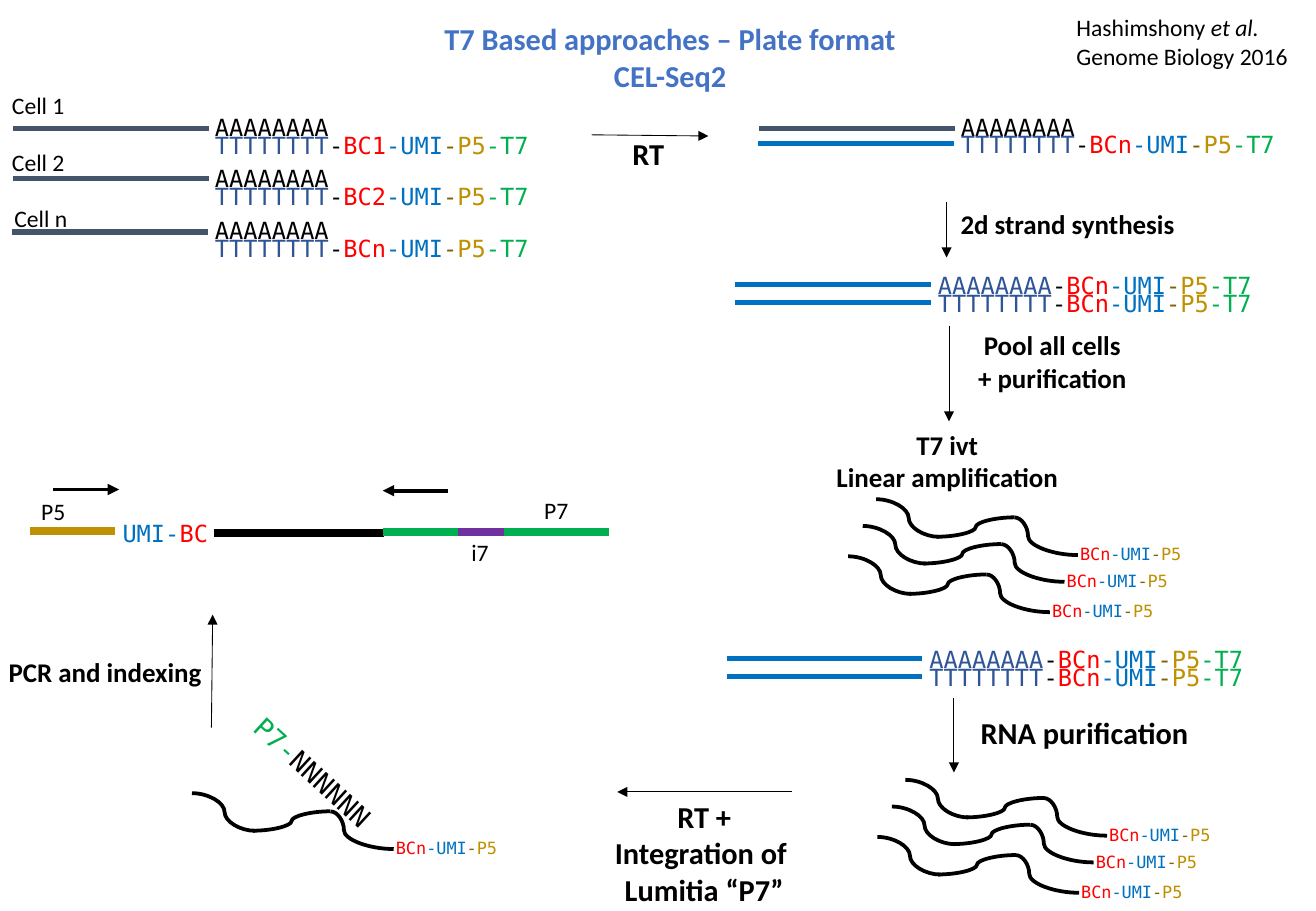
import pptx
import pptx.util
import pptx.dml.color
import pptx.enum.shapes
import pptx.enum.text
import pptx.oxml.ns
import lxml.etree

PX = 9144  # one px is a hundredth of an inch
COLORS = {
    "black": "000000", "title": "4472C4", "rna": "44546A", "cdna": "0070C0",
    "bases": "2F5597", "barcode": "FF0000", "umi": "0070C0", "dash": "806000",
    "p5": "BF9000", "green": "00B050", "index": "7030A0",
}
SANS, MONO = "Calibri", "DejaVu Sans Mono"
qn = pptx.oxml.ns.qn

presentation = pptx.Presentation()
presentation.slide_width = 1083 * PX
presentation.slide_height = 750 * PX
slide = presentation.slides.add_slide(presentation.slide_layouts[6])


def add_text(left, top, width, height, lines, size=14, font=SANS, bold=False, centered=False):
    """Each line is a list of (text, colour) runs."""
    box = slide.shapes.add_textbox(left * PX, top * PX, width * PX, height * PX)
    frame = box.text_frame
    frame.word_wrap = False
    frame.auto_size = pptx.enum.text.MSO_AUTO_SIZE.SHAPE_TO_FIT_TEXT
    for number, line in enumerate(lines):
        paragraph = frame.add_paragraph() if number else frame.paragraphs[0]
        if centered:
            paragraph.alignment = pptx.enum.text.PP_ALIGN.CENTER
        paragraph.font.size = pptx.util.Pt(size)
        paragraph.font.name = font
        paragraph.font.bold = bold
        for text, color in line:
            run = paragraph.add_run()
            run.text = text
            run.font.color.rgb = pptx.dml.color.RGBColor.from_string(COLORS[color])
    return box


def add_line(x1, y1, x2, y2, color="black", width=0.5, arrow=False, bend=None):
    """A straight line, or a curve when bend gives its turning point in percent."""
    kinds = pptx.enum.shapes.MSO_CONNECTOR
    kind = kinds.STRAIGHT if bend is None else kinds.CURVE
    connector = slide.shapes.add_connector(kind, x1 * PX, y1 * PX, x2 * PX, y2 * PX)
    connector.line.width = pptx.util.Pt(width)
    connector.line.color.rgb = pptx.dml.color.RGBColor.from_string(COLORS[color])
    properties = connector._element.spPr
    if arrow:
        lxml.etree.SubElement(properties.find(qn("a:ln")), qn("a:tailEnd"), type="triangle")
    if bend is not None:
        geometry = properties.find(qn("a:prstGeom"))
        guides = geometry.find(qn("a:avLst"))
        if guides is None:
            guides = lxml.etree.SubElement(geometry, qn("a:avLst"))
        lxml.etree.SubElement(guides, qn("a:gd"), name="adj1", fmla=f"val {bend * 1000:.0f}")
    lxml.etree.SubElement(properties, qn("a:effectLst"))


# Title and reference
add_text(354, 12, 395, 71, [[("T7 Based approaches – Plate format", "title")], [("CEL-Seq2", "title")]],
         18, bold=True, centered=True)
reference = add_text(876, 6, 196, 57, [[("Hashimshony ", "black"), ("et al.", "black")],
                                       [("Genome Biology 2016", "black")]])
reference.text_frame.paragraphs[0].runs[1].font.italic = True

# Poly-A tails: cells, then the reverse-transcribed strand
for left, top in [(167, 88), (167, 130), (167, 173), (781, 88)]:
    add_text(left, top, 114, 34, [[("AAAAAAAA", "black")]], font=MONO)

# Barcoded strands
for left, top, bases, barcode in [
    (167, 103, "TTTTTTTT", "BC1"), (167, 145, "TTTTTTTT", "BC2"), (167, 188, "TTTTTTTT", "BCn"),
    (781, 102, "TTTTTTTT", "BCn"),
    (762, 233, "TTTTTTTT", "BCn"), (762, 218, "AAAAAAAA", "BCn"),
    (755, 541, "TTTTTTTT", "BCn"), (755, 526, "AAAAAAAA", "BCn"),
]:
    add_text(left, top, 279, 34, [[
        (bases, "bases"), ("-", "black"), (barcode, "barcode"), ("-UMI", "umi"),
        ("-", "dash"), ("P5", "p5"), ("-T7", "green")]], font=MONO)

# RNA and cDNA bars
for left, top, color in [
    (11, 106, "rna"), (11, 147, "rna"), (10, 191, "rna"), (625, 106, "rna"), (624, 118, "cdna"),
    (605, 249, "cdna"), (605, 234, "cdna"), (598, 557, "cdna"), (598, 542, "cdna"),
]:
    add_line(left, top, left + 161, top, color, 3)

# Amplified RNA: a wave of three curves with its tag
for left, top in [(698, 458), (710, 433), (721, 411), (158, 653),
                  (722, 689), (734, 664), (745, 642)]:
    add_line(left, top, left + 52, top + 31, width=2.25, bend=51.6)
    add_line(left + 50, top + 31, left + 114, top + 15, width=2.25, bend=50)
    add_line(left + 114, top + 15, left + 166, top + 46, width=2.25, bend=21.2)
    add_text(left + 158, top + 32, 104, 27, [[
        ("BCn", "barcode"), ("-UMI", "umi"), ("-", "dash"), ("P5", "p5")]], 10, MONO)

# Random primer
primer = add_text(187, 618, 142, 37, [[("P7-", "green"), ("NNNNNN", "black")]], 16, MONO)
primer.rotation = 42.5

# Final library
for x1, x2, y, color in [
    (176, 316, 439, "black"), (25, 95, 437, "p5"), (315, 377, 438, "green"),
    (377, 415, 438, "index"), (415, 501, 438, "green"),
]:
    add_line(x1, y, x2, y, color, 4.5)
add_text(91, 422, 91, 34, [[("UMI-", "umi"), ("BC", "barcode")]], font=MONO)

# Small labels
for left, top, width, label in [
    (0, 70, 64, "Cell 1"), (0, 117, 64, "Cell 2"), (2, 163, 64, "Cell n"),
    (24, 404, 40, "P5"), (438, 403, 40, "P7"), (378, 438, 35, "i7"),
]:
    add_text(left, top, width, 34, [[(label, "black")]])

# Step arrows and library primers
for x1, y1, x2, y2, width in [
    (487, 111, 583, 112, 0.5), (779, 166, 779, 212, 0.5), (781, 268, 781, 347, 0.5),
    (785, 575, 785, 636, 0.5), (652, 652, 508, 652, 0.5), (174, 599, 175, 506, 0.5),
    (44, 403, 98, 403, 2.25), (369, 404, 315, 404, 2.25),
]:
    add_line(x1, y1, x2, y2, width=width, arrow=True)

# Step names
for left, top, width, height, size, lines in [
    (510, 106, 47, 40, 18, ["RT"]),
    (779, 166, 199, 37, 16, ["2d strand synthesis"]),
    (794, 266, 144, 64, 16, ["Pool all cells", "+ purification"]),
    (677, 348, 205, 64, 16, ["T7 ivt", "Linear amplification"]),
    (750, 583, 285, 40, 18, ["RNA purification"]),
    (475, 652, 209, 101, 18, ["RT +", "Integration of ", "Lumitia “P7”"]),
    (-4, 535, 181, 37, 16, ["PCR and indexing"]),
]:
    add_text(left, top, width, height, [[(line, "black")] for line in lines],
             size, bold=True, centered=True)

presentation.save("out.pptx")
